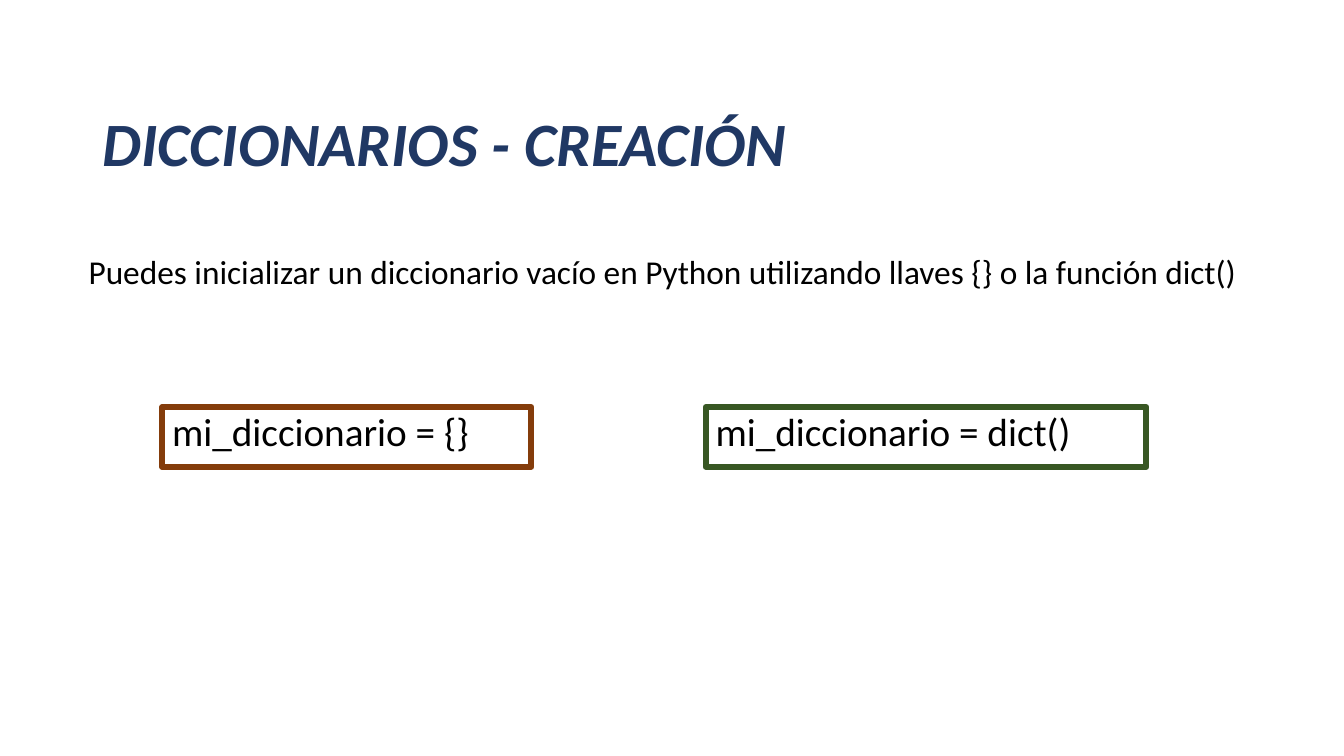
import dataclasses

import pptx
import pptx.dml.color
import pptx.enum.shapes
import pptx.enum.text
import pptx.util

RGBColor = pptx.dml.color.RGBColor
NAVY = RGBColor(0x20, 0x38, 0x64)
BLACK = RGBColor(0x00, 0x00, 0x00)
WHITE = RGBColor(0xFF, 0xFF, 0xFF)
BROWN = RGBColor(0x84, 0x3C, 0x0B)
GREEN = RGBColor(0x38, 0x57, 0x23)

EMU_PER_PX = 9144  # 100 px to the inch
FONT = "Calibri"
ANCHOR = pptx.enum.text.MSO_ANCHOR
ALIGN = pptx.enum.text.PP_ALIGN


@dataclasses.dataclass(frozen=True)
class CodeBox:
    code: str
    left: int
    width: int
    border: RGBColor


CODE_TOP, CODE_HEIGHT = 404, 59
CODE_BOXES = (
    CodeBox("mi_diccionario = {}", 161, 366, BROWN),
    CodeBox("mi_diccionario = dict()", 700, 437, GREEN),
)


def px(length: int) -> pptx.util.Emu:
    return pptx.util.Emu(length * EMU_PER_PX)


def write_text(shape, text: str, *, size: float, color: RGBColor = BLACK,
               bold: bool = False, italic: bool = False, align=ALIGN.JUSTIFY,
               anchor=ANCHOR.TOP, line_spacing: float = 0.9) -> None:
    frame = shape.text_frame
    frame.word_wrap = True
    frame.vertical_anchor = anchor
    paragraph = frame.paragraphs[0]
    paragraph.alignment = align
    paragraph.line_spacing = line_spacing
    run = paragraph.add_run()
    run.text = text
    run.font.name = FONT
    run.font.size = pptx.util.Pt(size)
    run.font.bold = bold
    run.font.italic = italic
    run.font.color.rgb = color


def add_text(slide, text: str, left: int, top: int, width: int, height: int,
             **text_format) -> None:
    box = slide.shapes.add_textbox(px(left), px(top), px(width), px(height))
    write_text(box, text, **text_format)


def add_code_box(slide, box: CodeBox) -> None:
    shape = slide.shapes.add_shape(
        pptx.enum.shapes.MSO_SHAPE.RECTANGLE,
        px(box.left), px(CODE_TOP), px(box.width), px(CODE_HEIGHT))
    shape.shadow.inherit = False
    shape.fill.solid()
    shape.fill.fore_color.rgb = WHITE
    shape.line.color.rgb = box.border
    shape.line.width = pptx.util.Pt(4.5)
    write_text(shape, box.code, size=28)


def main() -> None:
    presentation = pptx.Presentation()
    presentation.slide_width = px(1333)
    presentation.slide_height = px(750)
    slide = presentation.slides.add_slide(presentation.slide_layouts[6])

    # Title
    add_text(slide, "DICCIONARIOS - CREACIÓN", 92, 105, 1150, 80, size=44,
             color=NAVY, bold=True, italic=True, align=ALIGN.LEFT,
             anchor=ANCHOR.MIDDLE)

    # Explanation
    add_text(slide, "Puedes inicializar un diccionario vacío en Python "
             "utilizando llaves {} o la función dict()",
             78, 252, 1218, 71, size=23.8, line_spacing=0.8)

    # The two ways to create an empty dictionary
    for box in CODE_BOXES:
        add_code_box(slide, box)

    presentation.save("out.pptx")


if __name__ == "__main__":
    main()
